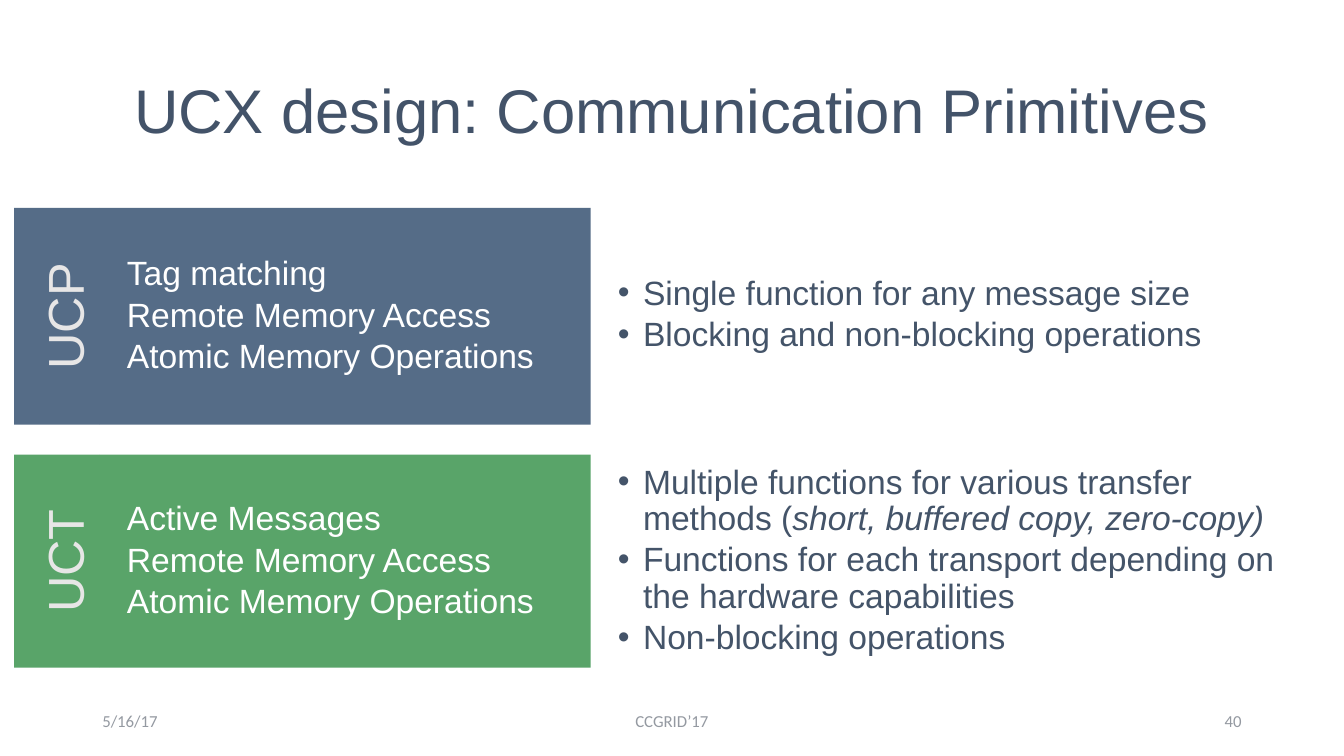
from dataclasses import dataclass

from lxml.etree import SubElement
from pptx import Presentation
from pptx.dml.color import RGBColor
from pptx.enum.shapes import MSO_SHAPE as Shape
from pptx.enum.text import MSO_ANCHOR as Anchor, MSO_AUTO_SIZE as Fit, PP_ALIGN as Align
from pptx.oxml.ns import qn
from pptx.util import Pt

WHITE = RGBColor(0xFF, 0xFF, 0xFF)
PALE = RGBColor(0xE7, 0xE6, 0xE6)
NAVY = RGBColor(0x43, 0x53, 0x69)
INK = RGBColor(0x44, 0x54, 0x69)
GREY = RGBColor(0x94, 0x99, 0xA1)
BLUE = RGBColor(0x55, 0x6C, 0x87)
GREEN = RGBColor(0x59, 0xA4, 0x69)

TAB_X, TAB_W = 10.1, 61.2
BOX_X, BOX_W = 71.3, 350.6
LIST_X, LIST_W = 421.9, 512.6


@dataclass
class Layer:
    name: str
    fill: RGBColor
    top: float
    high: float
    items: list[str]
    list_top: float
    list_high: float
    notes: list[tuple[str, str]]


@dataclass
class Foot:
    text: str
    left: float
    wide: float
    align: Align


LAYERS = [
    Layer("UCP", BLUE, 148.5, 154.8,
          ["Tag matching", "Remote Memory Access", "Atomic Memory Operations"],
          146.9, 156.2,
          [("Single function for any message size", ""),
           ("Blocking and non-blocking operations", "")]),
    Layer("UCT", GREEN, 324.7, 152.2,
          ["Active Messages", "Remote Memory Access", "Atomic Memory Operations"],
          301.7, 198,
          [("Multiple functions for various transfer methods (",
            "short, buffered copy, zero-copy)"),
           ("Functions for each transport depending on the hardware capabilities", ""),
           ("Non-blocking operations", "")]),
]

FEET = [
    Foot("5/16/17", 66, 216, Align.LEFT),
    Foot("CCGRID’17", 318, 324, Align.CENTER),
    Foot("40", 678, 216, Align.RIGHT),
]


def place(shape, left: float, top: float, wide: float, high: float) -> None:
    shape.left, shape.top = Pt(left), Pt(top)
    shape.width, shape.height = Pt(wide), Pt(high)


def frame(shape, side: float, edge: float, anchor: Anchor):
    text = shape.text_frame
    text.word_wrap = True
    text.auto_size = Fit.NONE
    text.vertical_anchor = anchor
    text.margin_left = text.margin_right = Pt(side)
    text.margin_top = text.margin_bottom = Pt(edge)
    return text


def style(para, size: float, color: RGBColor, align: Align = Align.LEFT,
          after: float = 0, face: str = "Arial", line: float = 0.9) -> None:
    para.alignment = align
    para.line_spacing = line
    para.space_before = Pt(0)
    para.space_after = Pt(after)
    para.font.size = Pt(size)
    para.font.name = face
    para.font.color.rgb = color


def bullet(para) -> None:
    props = para._p.get_or_add_pPr()
    props.set("marL", str(Pt(18)))
    props.set("indent", str(Pt(-18)))
    SubElement(props, qn("a:buFont"), typeface="Arial")
    SubElement(props, qn("a:buChar"), char="•")


def panel(slide, left: float, wide: float, layer: Layer):
    box = slide.shapes.add_shape(
        Shape.RECTANGLE, Pt(left), Pt(layer.top), Pt(wide), Pt(layer.high))
    box.shadow.inherit = False
    box.fill.solid()
    box.fill.fore_color.rgb = layer.fill
    box.line.fill.background()
    return box


def draw_layer(slide, body, layer: Layer) -> None:
    text = frame(panel(slide, BOX_X, BOX_W, layer), 19.4, 10.1, Anchor.MIDDLE)
    text.text = "\n".join(layer.items)
    for para in text.paragraphs:
        style(para, 24, WHITE, after=3.6)

    text = frame(panel(slide, TAB_X, TAB_W, layer), 18.7, 9.4, Anchor.TOP)
    text._txBody.bodyPr.set("vert", "vert270")
    text.text = layer.name
    style(text.paragraphs[0], 36, PALE, Align.CENTER)

    place(body, LIST_X, layer.list_top, LIST_W, layer.list_high)
    text = frame(body, 19.4, 10.1, Anchor.MIDDLE)
    for i, (plain, slant) in enumerate(layer.notes):
        para = text.add_paragraph() if i else text.paragraphs[0]
        bullet(para)
        style(para, 24, INK, after=3.6)
        para.add_run().text = plain
        if slant:
            run = para.add_run()
            run.text = slant
            run.font.italic = True


def draw_foot(slide, foot: Foot) -> None:
    box = slide.shapes.add_textbox(Pt(foot.left), Pt(500.5), Pt(foot.wide), Pt(28.8))
    text = frame(box, 7.2, 3.6, Anchor.MIDDLE)
    text.text = foot.text
    style(text.paragraphs[0], 12, GREY, foot.align, face="Calibri", line=1.0)


def main() -> None:
    deck = Presentation()
    deck.slide_width, deck.slide_height = Pt(960), Pt(540)
    slide = deck.slides.add_slide(deck.slide_layouts[3])
    title, *bodies = slide.placeholders
    place(title, 66, 28.8, 828, 104.4)
    text = frame(title, 7.2, 3.6, Anchor.MIDDLE)
    text.text = "UCX design: Communication Primitives"
    style(text.paragraphs[0], 44, NAVY, Align.CENTER)
    for body, layer in zip(bodies, LAYERS):
        draw_layer(slide, body, layer)
    for foot in FEET:
        draw_foot(slide, foot)
    deck.save("out.pptx")


if __name__ == "__main__":
    main()
